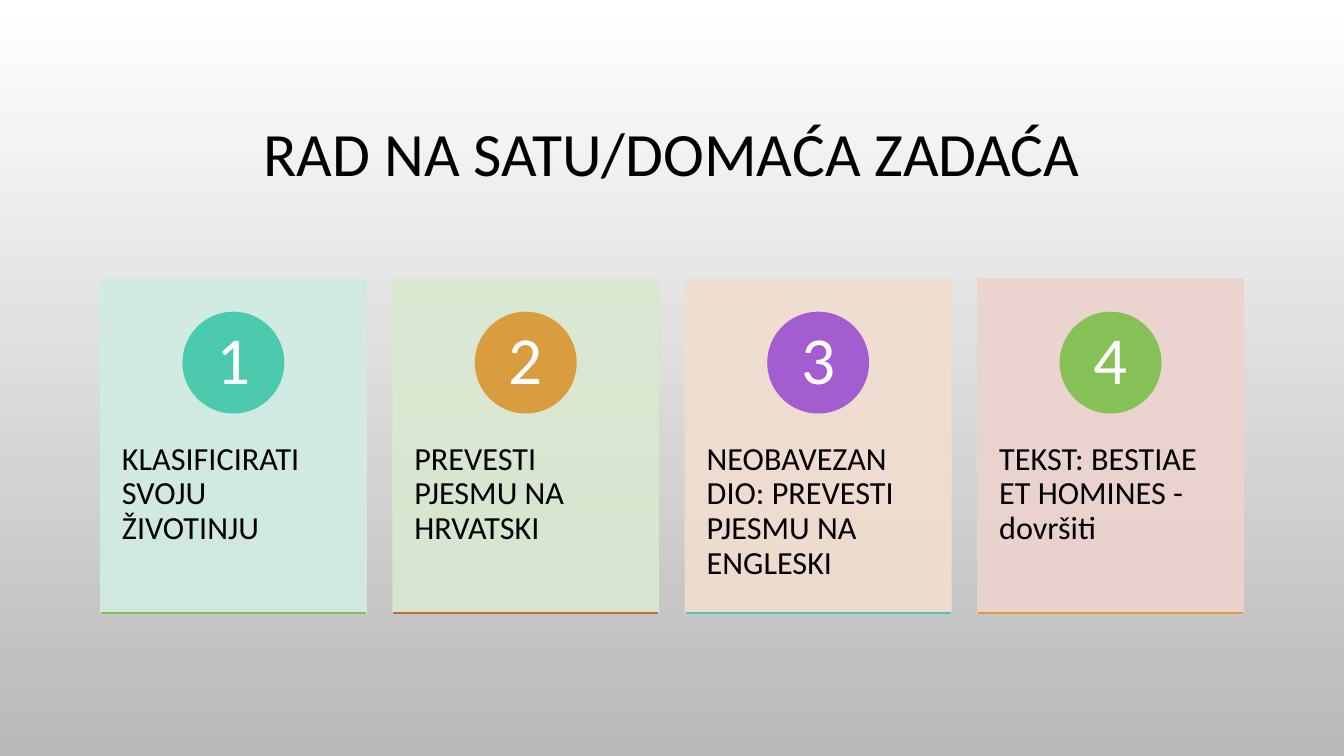
from lxml.etree import SubElement
from pptx import Presentation
from pptx.dml.color import RGBColor
from pptx.enum.shapes import MSO_CONNECTOR, MSO_SHAPE
from pptx.enum.text import MSO_ANCHOR, PP_ALIGN
from pptx.oxml.ns import qn
from pptx.util import Inches, Pt

WIDTH, HEIGHT = 13.33, 7.5
MARGIN = 1
CARD_WIDTH, CARD_HEIGHT, CARD_TOP = 2.63, 3.31, 2.77
FONT = "Calibri"

# Wording, card colour, circle colour, base line colour
CARDS = [
    ("KLASIFICIRATI SVOJU ŽIVOTINJU", "D0ECE3", "4BCAAD", "86C157"),
    ("PREVESTI PJESMU NA HRVATSKI", "D9E9D1", "D99C3F", "CE6633"),
    ("NEOBAVEZAN DIO: PREVESTI PJESMU NA ENGLESKI", "F1DECF", "A35DD1", "4BCAAD"),
    ("TEKST: BESTIAE ET HOMINES - dovršiti", "EDD3CE", "86C157", "D99C3F"),
]


def color(value):
    return RGBColor.from_string(value)


def add_text(slide, box, text, size, ink="000000", align=PP_ALIGN.LEFT,
             anchor=MSO_ANCHOR.TOP, insets=(0.1, 0.05)):
    frame = slide.shapes.add_textbox(*map(Inches, box)).text_frame
    frame.word_wrap = True
    frame.vertical_anchor = anchor
    frame.margin_left = frame.margin_right = Inches(insets[0])
    frame.margin_top = frame.margin_bottom = Inches(insets[1])
    frame.text = text
    para = frame.paragraphs[0]
    para.alignment = align
    para.line_spacing = 0.9
    span = para.runs[0]
    span.font.name = FONT
    span.font.size = Pt(size)
    span.font.color.rgb = color(ink)


def add_filled(slide, kind, box, fill, opacity=100):
    shape = slide.shapes.add_shape(kind, *map(Inches, box))
    shape.shadow.inherit = False
    shape.fill.solid()
    shape.fill.fore_color.rgb = color(fill)
    shape.line.color.rgb = color(fill)
    shape.line.width = Pt(1.25)
    if opacity < 100:
        for tone in shape._element.spPr.iter(qn("a:srgbClr")):
            SubElement(tone, qn("a:alpha"), val=str(opacity * 1000))


def add_background(slide):
    fill = slide.background.fill
    fill.gradient()
    fill.gradient_angle = 270
    for stop, tone, position in zip(fill.gradient_stops, ("FFFFFF", "B9B9B9"), (0, 1)):
        stop.color.rgb = color(tone)
        stop.position = position


def add_title(slide, box):
    add_text(slide, box, "RAD NA SATU/DOMAĆA ZADAĆA", 44,
             align=PP_ALIGN.CENTER, anchor=MSO_ANCHOR.MIDDLE)


def add_card(slide, box, number, text, card_fill, circle_fill, base_color):
    left, top, width, height = box
    add_filled(slide, MSO_SHAPE.RECTANGLE, box, card_fill, opacity=90)
    add_text(slide, (left, top + 0.38 * height, width, 0.6 * height), text, 23,
             insets=(0.21, 0.36))

    # Numbered circle
    diameter = 0.3 * height
    circle = (left + (width - diameter) / 2, top + 0.1 * height, diameter, diameter)
    add_filled(slide, MSO_SHAPE.OVAL, circle, circle_fill)
    inset = 0.15 * diameter
    label = (circle[0] + inset, circle[1] + inset, 0.7 * diameter, 0.7 * diameter)
    add_text(slide, label, str(number), 48, "FFFFFF", PP_ALIGN.CENTER,
             MSO_ANCHOR.MIDDLE, (0.08, 0.01))

    # Base line
    bottom = top + height
    base = slide.shapes.add_connector(
        MSO_CONNECTOR.STRAIGHT, *map(Inches, (left, bottom, left + width, bottom)))
    base.line.color.rgb = color(base_color)
    base.line.width = Pt(1.25)
    SubElement(base._element.spPr, qn("a:effectLst"))


def add_cards(slide, box):
    left, top, width, height = box
    step = (width - CARD_WIDTH) / (len(CARDS) - 1)
    for index, card in enumerate(CARDS):
        add_card(slide, (left + index * step, top, CARD_WIDTH, height), index + 1, *card)


def main():
    deck = Presentation()
    deck.slide_width, deck.slide_height = Inches(WIDTH), Inches(HEIGHT)
    slide = deck.slides.add_slide(deck.slide_layouts[6])
    content_width = WIDTH - 2 * MARGIN
    add_background(slide)
    add_title(slide, (MARGIN, 0.68, content_width, 1.75))
    add_cards(slide, (MARGIN, CARD_TOP, content_width, CARD_HEIGHT))
    deck.save("out.pptx")


if __name__ == "__main__":
    main()
